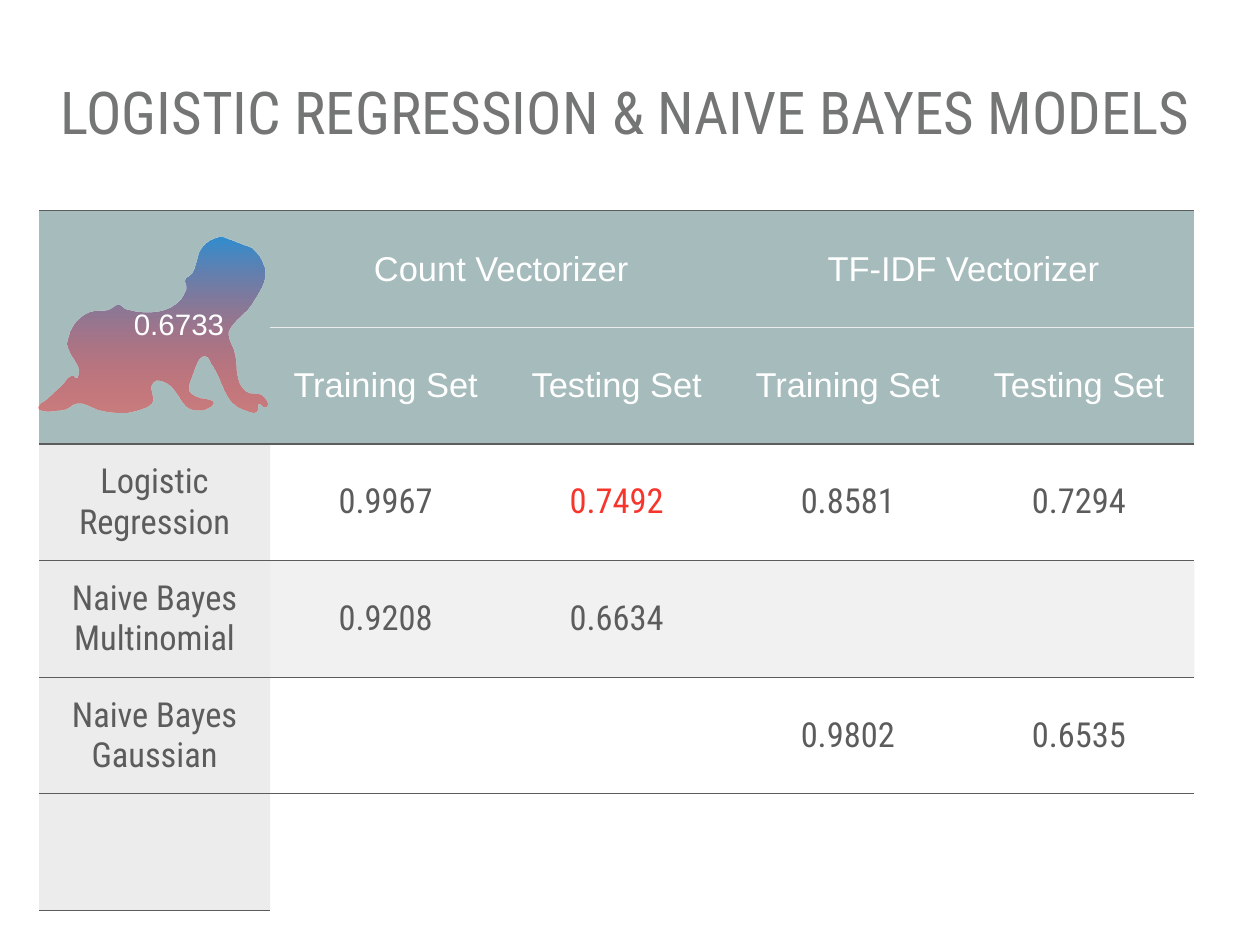
from dataclasses import dataclass
from math import hypot
from typing import Optional

from lxml.etree import SubElement
from pptx import Presentation
from pptx.dml.color import RGBColor
from pptx.enum.text import MSO_ANCHOR, MSO_AUTO_SIZE, PP_ALIGN
from pptx.oxml.ns import qn
from pptx.util import Inches, Pt

WHITE = RGBColor(0xFF, 0xFF, 0xFF)
TITLE_GREY = RGBColor(0x74, 0x76, 0x76)
DARK = RGBColor(0x5C, 0x5C, 0x5C)
LIGHT = RGBColor(0xEB, 0xEB, 0xEB)
TEAL = RGBColor(0xA6, 0xBB, 0xBB)
BAND = RGBColor(0xCB, 0xCB, 0xCB)
RED = RGBColor(0xF6, 0x36, 0x2D)
BABY_BLUE = RGBColor(0x32, 0x8D, 0xCF)
BABY_RED = RGBColor(0xF7, 0x28, 0x2B)
HEAD_FONT, BODY_FONT = "Arial", "Roboto Condensed"
INSET = Inches(0.06)
NO_STYLE = "{2D5ABB26-0587-4C30-8999-92F81FD0307C}"
ROWS = [
    ["", "Count Vectorizer", "", "TF-IDF Vectorizer", ""],
    ["", "Training Set", "Testing Set", "Training Set", "Testing Set"],
    ["Logistic Regression", "0.9967", "0.7492", "0.8581", "0.7294"],
    ["Naive Bayes Multinomial", "0.9208", "0.6634", "", ""],
    ["Naive Bayes Gaussian", "", "", "0.9802", "0.6535"],
    ["", "", "", "", ""],
]
BEST = "0.7492"
BABY = [
    (2.52, 2.68), (2.46, 2.68), (2.29, 2.78), (2.18, 3.06), (2.17, 3.08), (2.09, 3.15),
    (2.1, 3.26), (2.09, 3.29), (1.43, 3.49), (1.4, 3.48), (1.37, 3.45), (1.34, 3.44),
    (1.23, 3.49), (1.19, 3.5), (1.01, 3.52), (0.76, 3.85), (0.88, 4.24), (0.87, 4.26),
    (0.83, 4.24), (0.69, 4.35), (0.56, 4.47), (0.5, 4.52), (0.48, 4.53), (0.44, 4.57),
    (0.72, 4.62), (0.86, 4.55), (1.15, 4.63), (1.54, 4.63), (1.72, 4.53), (1.71, 4.34),
    (1.73, 4.31), (1.86, 4.31), (1.88, 4.32), (2.18, 4.62), (2.33, 4.61), (2.4, 4.56),
    (2.19, 4.46), (2.16, 4.44), (2.2, 4.15), (2.21, 4.12), (2.29, 4.02), (2.32, 4.02),
    (2.38, 4.1), (2.4, 4.13), (2.73, 4.61), (2.9, 4.63), (2.91, 4.57), (2.91, 4.56),
    (2.94, 4.56), (2.95, 4.57), (2.98, 4.59), (3.02, 4.56), (3, 4.51), (2.96, 4.46),
    (2.77, 4.41), (2.74, 4.38), (2.65, 4), (2.59, 3.71), (2.61, 3.68), (2.84, 3.43),
    (2.98, 3.01), (2.84, 2.8),
]


@dataclass
class CellLook:
    fill: Optional[RGBColor]
    alpha: int
    top: Optional[RGBColor]
    bottom: Optional[RGBColor]
    font: str
    color: RGBColor


def bottom_line(row: int, col: int) -> Optional[RGBColor]:
    if row == 0 and col:
        return LIGHT
    return DARK if row < len(ROWS) - 1 or col == 0 else None


def cell_look(row: int, col: int, text: str) -> CellLook:
    top = bottom_line(row - 1, col) if row else DARK
    bottom = bottom_line(row, col)
    if row < 2:
        return CellLook(TEAL, 100, top, bottom, HEAD_FONT, WHITE)
    banded = col == 0 or row == 3
    color = RED if text == BEST else DARK
    return CellLook(BAND if banded else None, 25 if col else 36, top, bottom, BODY_FONT, color)


def set_alpha(color_el, percent: int) -> None:
    SubElement(color_el, qn("a:alpha")).set("val", str(percent * 1000))


def add_border(tc_pr, tag: str, color: Optional[RGBColor]) -> None:
    if color is not None:
        ln = SubElement(tc_pr, qn(tag), w=str(Pt(1)))
        fill = SubElement(ln, qn("a:solidFill"))
        SubElement(fill, qn("a:srgbClr"), val=str(color))


def style_text(p, font: str, size: int, color: RGBColor) -> None:
    for r in p.runs:
        r.font.name, r.font.size = font, Pt(size)
        r.font.color.rgb = color


def set_insets(obj) -> None:
    obj.margin_left = obj.margin_right = obj.margin_top = obj.margin_bottom = INSET


def style_cell(cell, text: str, look: CellLook) -> None:
    set_insets(cell)
    cell.vertical_anchor = MSO_ANCHOR.MIDDLE
    tc_pr = cell._tc.get_or_add_tcPr()
    add_border(tc_pr, "a:lnT", look.top)
    add_border(tc_pr, "a:lnB", look.bottom)
    if look.fill is None:
        cell.fill.background()
    else:
        cell.fill.solid()
        cell.fill.fore_color.rgb = look.fill
        if look.alpha < 100:
            set_alpha(tc_pr.find(qn("a:solidFill"))[0], look.alpha)
    if text:
        p = cell.text_frame.paragraphs[0]
        p.text = text
        p.alignment = PP_ALIGN.CENTER
        style_text(p, look.font, 28, look.color)


def add_scores(slide) -> None:
    frame = slide.shapes.add_table(len(ROWS), len(ROWS[0]), Inches(0.44), Inches(2.38),
                                   Inches(13.04), Inches(7.9))
    table = frame.table
    table.first_row = table.horz_banding = False
    table._tbl.tblPr.find(qn("a:tableStyleId")).text = NO_STYLE
    for i, row in enumerate(ROWS):
        for j, text in enumerate(row):
            style_cell(table.cell(i, j), text, cell_look(i, j, text))
    table.cell(0, 0).merge(table.cell(1, 0))
    for col in (1, 3):
        table.cell(0, col).merge(table.cell(0, col + 1))


def tangent(i: int) -> tuple:
    (ax, ay), (x, y), (bx, by) = BABY[i - 1], BABY[i], BABY[(i + 1) % len(BABY)]
    before, after = hypot(x - ax, y - ay), hypot(bx - x, by - y)
    dx = (x - ax) / before * after + (bx - x) / after * before
    dy = (y - ay) / before * after + (by - y) / after * before
    size = hypot(dx, dy) or 1
    return dx / size, dy / size


def round_segments(sp) -> None:
    left, top = sp.left, sp.top
    for i, line in enumerate(sp._element.findall(".//" + qn("a:lnTo"))):
        k = (i + 1) % len(BABY)
        a, b, u, v = BABY[i], BABY[k], tangent(i), tangent(k)
        reach = hypot(b[0] - a[0], b[1] - a[1]) * 0.36
        controls = ((a[0] + u[0] * reach, a[1] + u[1] * reach),
                    (b[0] - v[0] * reach, b[1] - v[1] * reach))
        line.tag = qn("a:cubicBezTo")
        for n, (x, y) in enumerate(controls):
            pt = SubElement(line, qn("a:pt"), x=str(Inches(x) - left), y=str(Inches(y) - top))
            line.insert(n, pt)


def add_baby(slide) -> None:
    start, *rest = [(Inches(x), Inches(y)) for x, y in BABY]
    builder = slide.shapes.build_freeform(*start)
    builder.add_line_segments(rest, close=True)
    sp = builder.convert_to_shape()
    round_segments(sp)
    sp.shadow.inherit = False
    sp.line.fill.background()
    sp.fill.gradient()
    sp.fill.gradient_angle = 270
    for stop, color, position in zip(sp.fill.gradient_stops, (BABY_BLUE, BABY_RED), (0, 1)):
        stop.color.rgb, stop.position = color, position
    set_alpha(sp._element.spPr.findall(".//" + qn("a:srgbClr"))[-1], 42)


def add_baby_score(slide) -> None:
    tf = slide.shapes.add_textbox(Inches(0.44), Inches(3.41), Inches(2.59), Inches(0.5)).text_frame
    tf.word_wrap = True
    set_insets(tf)
    tf.margin_left = Inches(1.07)
    tf.vertical_anchor = MSO_ANCHOR.MIDDLE
    tf.text = "0.6733"
    style_text(tf.paragraphs[0], HEAD_FONT, 24, WHITE)


def add_title(slide) -> None:
    sp = slide.shapes.title
    sp.left, sp.top, sp.width, sp.height = (Inches(n) for n in (0.62, 0.79, 12.97, 0.79))
    tf = sp.text_frame
    tf.text = "LOGISTIC REGRESSION & NAIVE BAYES MODELS"
    tf.auto_size = MSO_AUTO_SIZE.NONE
    tf.vertical_anchor = MSO_ANCHOR.TOP
    set_insets(tf)
    p = tf.paragraphs[0]
    p.alignment = PP_ALIGN.LEFT
    style_text(p, BODY_FONT, 48, TITLE_GREY)


def main() -> None:
    prs = Presentation()
    prs.slide_width, prs.slide_height = Inches(14.22), Inches(10.67)
    slide = prs.slides.add_slide(prs.slide_layouts[5])
    add_title(slide)
    add_scores(slide)
    add_baby(slide)
    add_baby_score(slide)
    prs.save("out.pptx")


if __name__ == "__main__":
    main()
